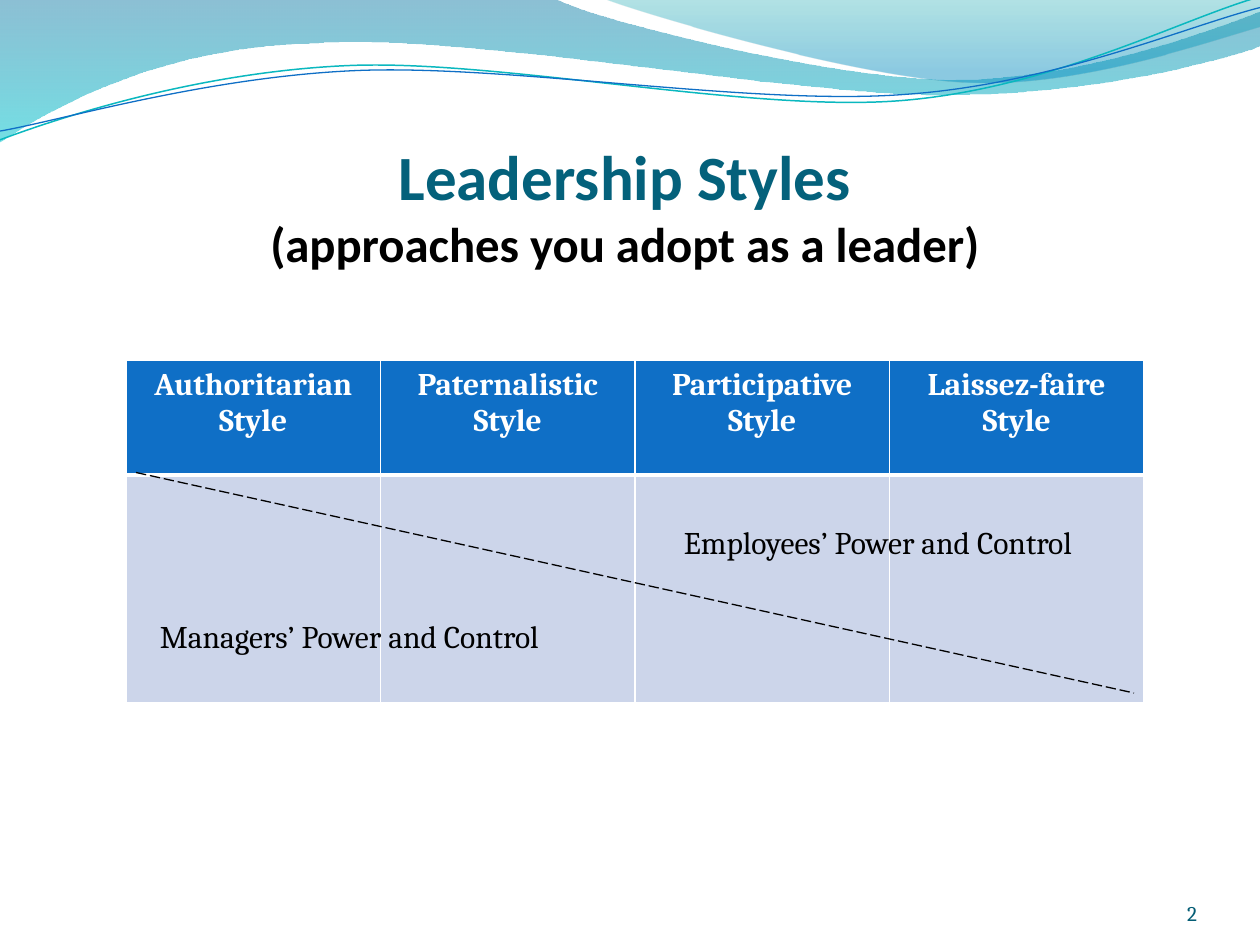
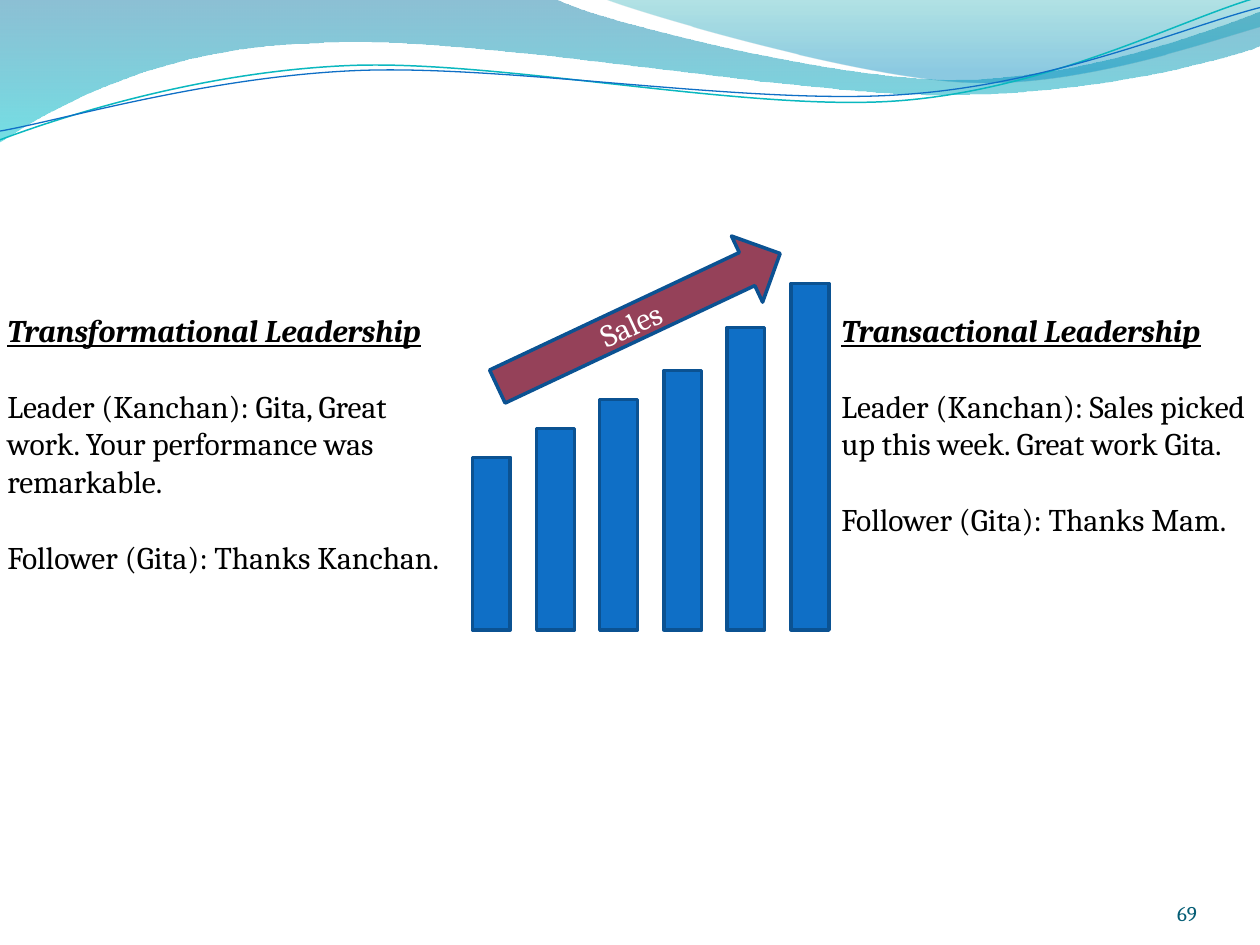
from math import cos, radians, sin

from pptx import Presentation
from pptx.dml.color import RGBColor
from pptx.enum.dml import MSO_LINE
from pptx.enum.shapes import MSO_CONNECTOR, MSO_SHAPE
from pptx.enum.text import MSO_ANCHOR, PP_ALIGN
from pptx.oxml.ns import qn
from pptx.oxml.xmlchemy import OxmlElement
from pptx.util import Pt

EMU_PER_PX = 9144
BODY_FONT = "Cambria"
TITLE_FONT = "Calibri"
COLORS = {
    "black": "000000",
    "white": "FFFFFF",
    "title": "04617B",
    "number": "045D75",
    "blue": "0F6FC6",
    "navy": "0B5292",
    "teal": "0AB8BF",
    "plum": "954159",
    "cell": "CCD5EA",
    "wave_top": "0074A1",
    "wave_bottom": "00C6CF",
    "crest_top": "00A1A9",
    "crest_bottom": "008BBF",
}
WAVE = [(0, 0), (440, -1), (476, 17, 664, 63, 758, 63), (853, 63, 958, 26, 1000, 9),
        (1001, 36), (983, 44, 870, 76, 746, 75), (622, 75, 382, 28, 257, 34),
        (129, 36, 46, 83, -1, 113), (0, 0)]
CREST = [(479, -1), (509, 11, 682, 62, 769, 65), (856, 69, 961, 32, 1000, 21),
         (1000, 0), (479, -1)]
TEAL_LINE = [(0, 111), (48, 93, 158, 57, 277, 52), (395, 47, 593, 89, 713, 80),
             (833, 71, 938, 15, 998, -2)]
BLUE_LINE = [(0, 104), (47, 96, 164, 61, 283, 56), (403, 51, 597, 84, 717, 75),
             (836, 67, 941, 21, 1000, 6)]
LINE_TILT = 357.3


def px(length):
    return round(length * EMU_PER_PX)


def color(name):
    return RGBColor.from_string(COLORS[name])


def set_line(shape, name, width):
    shape.line.color.rgb = color(name)
    shape.line.width = Pt(width)


def add_span(para, text, size, name, font=BODY_FONT, bold=False, italic=False, underline=False):
    span = para.add_run()
    span.text = text
    span.font.name = font
    span.font.size = Pt(size)
    span.font.color.rgb = color(name)
    span.font.bold = bold
    span.font.italic = italic
    span.font.underline = underline


def add_box(page, left, top, width, height, anchor=MSO_ANCHOR.TOP, insets=None):
    box = page.shapes.add_textbox(px(left), px(top), px(width), px(height))
    frame = box.text_frame
    frame.word_wrap = True
    frame.vertical_anchor = anchor
    if insets:
        frame.margin_left, frame.margin_top, frame.margin_right, frame.margin_bottom = map(px, insets)
    return frame


def turn_back(point, center, angle):
    across, down = point[0] - center[0], point[1] - center[1]
    turn = radians(-angle)
    return (center[0] + across * cos(turn) - down * sin(turn),
            center[1] + across * sin(turn) + down * cos(turn))


def merge_into_curve(segments):
    curve = OxmlElement("a:cubicBezTo")
    segments[0].addprevious(curve)
    for segment in segments:
        curve.append(segment[0])
        segment.getparent().remove(segment)


def add_outline(shapes, steps, close, center=(0, 0), angle=0):
    points = [step[index:index + 2] for step in steps for index in range(0, len(step), 2)]
    corners = [tuple(map(px, turn_back(point, center, angle))) for point in points]
    builder = shapes.build_freeform(*corners[0], scale=1.0)
    builder.add_line_segments(corners[1:], close=close)
    shape = builder.convert_to_shape()
    segments = list(shape._element.spPr.iter(qn("a:lnTo")))
    for step in steps[1:]:
        count = len(step) // 2
        if count == 3:
            merge_into_curve(segments[:count])
        segments = segments[count:]
    shape.rotation = angle
    shape.shadow.inherit = False
    return shape


def add_band(page, steps, stops):
    band = add_outline(page.shapes, steps, True)
    band.line.fill.background()
    band.fill.gradient()
    band.fill.gradient_angle = 270
    for stop, (position, name, opacity) in zip(band.fill.gradient_stops, stops):
        stop.position = position
        stop.color.rgb = color(name)
    for element, (position, name, opacity) in zip(band._element.spPr.iter(qn("a:srgbClr")), stops):
        alpha = OxmlElement("a:alpha")
        alpha.set("val", str(opacity * 1000))
        element.append(alpha)


def add_curve(group, steps, center, name, width):
    curve = add_outline(group.shapes, steps, False, center, LINE_TILT)
    curve.fill.background()
    set_line(curve, name, width)


def add_page(deck, number):
    page = deck.slides.add_slide(deck.slide_layouts[6])
    add_band(page, WAVE, [(0, "wave_top", 45), (1, "wave_bottom", 55)])
    add_band(page, CREST, [(0, "crest_top", 30), (0.8, "crest_bottom", 45)])
    lines = page.shapes.add_group_shape()
    add_curve(lines, TEAL_LINE, (499, 57.5), "teal", 0.85)
    add_curve(lines, BLUE_LINE, (499.5, 59), "blue", 0.75)
    para = add_box(page, 867, 695, 83, 40, MSO_ANCHOR.BOTTOM, (0, 0, 0, 0)).paragraphs[0]
    para.alignment = PP_ALIGN.RIGHT
    add_span(para, number, 12, "number")
    return page


def add_title(page, heading, subheading):
    para = add_box(page, 67, 158, 858, 58, MSO_ANCHOR.BOTTOM, (0, 5, 0, 0)).paragraphs[0]
    para.alignment = PP_ALIGN.CENTER
    add_span(para, heading, 36, "title", TITLE_FONT, bold=True)
    para.add_line_break()
    add_span(para, subheading, 27.9, "black", TITLE_FONT, bold=True)


def set_borders(cell, top, bottom):
    properties = cell._tc.get_or_add_tcPr()
    for side, width in (("L", 1), ("R", 1), ("T", top), ("B", bottom)):
        border = OxmlElement(f"a:ln{side}")
        border.set("w", str(Pt(width)))
        solid = OxmlElement("a:solidFill")
        value = OxmlElement("a:srgbClr")
        value.set("val", COLORS["white"])
        solid.append(value)
        border.append(solid)
        properties.append(border)


def fill_cell(cell, name, top, bottom):
    set_borders(cell, top, bottom)
    cell.fill.solid()
    cell.fill.fore_color.rgb = color(name)


def add_style_table(page, styles):
    table = page.shapes.add_table(2, len(styles), px(100), px(286), px(808), px(272)).table
    table.horz_banding = False
    table.rows[0].height = px(91)
    table.rows[1].height = px(181)
    for column, style in enumerate(styles):
        header = table.cell(0, column)
        fill_cell(header, "blue", 1, 3)
        para = header.text_frame.paragraphs[0]
        para.alignment = PP_ALIGN.CENTER
        add_span(para, style, 18, "white", bold=True)
        fill_cell(table.cell(1, column), "cell", 3, 1)


def add_divider(page, start, end):
    divider = page.shapes.add_connector(MSO_CONNECTOR.STRAIGHT, *map(px, start + end))
    set_line(divider, "black", 0.75)
    divider.line.dash_style = MSO_LINE.LONG_DASH
    divider._element.spPr.append(OxmlElement("a:effectLst"))


def add_label(page, left, top, width, text):
    para = add_box(page, left, top, width, 40).paragraphs[0]
    add_span(para, text, 18, "black")


def add_solid(group, kind, left, top, width, height, name):
    shape = group.shapes.add_shape(kind, px(left), px(top), px(width), px(height))
    shape.shadow.inherit = False
    shape.fill.solid()
    shape.fill.fore_color.rgb = color(name)
    set_line(shape, "navy", 2)
    return shape


def add_sales_growth(page):
    baseline = 500
    growth = page.shapes.add_group_shape()
    for index, height in enumerate((137, 160, 183, 206, 240, 275)):
        left = 375 + round(index * 50.6)
        add_solid(growth, MSO_SHAPE.RECTANGLE, left, baseline - height, 30, height, "blue")
    arrow = add_solid(growth, MSO_SHAPE.RIGHT_ARROW, 383, 225, 248, 58, "plum")
    arrow.rotation = 334.8
    arrow.text_frame.vertical_anchor = MSO_ANCHOR.MIDDLE
    para = arrow.text_frame.paragraphs[0]
    para.alignment = PP_ALIGN.CENTER
    add_span(para, "Sales", 18, "white")


def add_dialogue(page, left, width, heading, lines):
    frame = add_box(page, left, 242, width, 222)
    add_span(frame.paragraphs[0], heading, 18, "black", bold=True, italic=True, underline=True)
    for line in lines:
        para = frame.add_paragraph()
        para.space_before = Pt(21.5)
        add_span(para, line, 18, "black")


def build_styles_page(deck):
    page = add_page(deck, "2")
    add_title(page, "Leadership Styles", "(approaches you adopt as a leader)")
    add_style_table(page, ["Authoritarian Style", "Paternalistic Style",
                           "Participative Style", "Laissez-faire Style"])
    add_divider(page, (108, 375), (900, 550))
    add_label(page, 117, 485, 392, "Managers’ Power and Control")
    add_label(page, 533, 410, 358, "Employees’ Power and Control")


def build_comparison_page(deck):
    page = add_page(deck, "69")
    add_sales_growth(page)
    add_dialogue(page, -4, 383, "Transformational Leadership", [
        "Leader (Kanchan): Gita, Great work. Your performance was remarkable.",
        "Follower (Gita): Thanks Kanchan.",
    ])
    add_dialogue(page, 658, 350, "Transactional Leadership", [
        "Leader (Kanchan): Sales picked up this week. Great work Gita.",
        "Follower (Gita): Thanks Mam.",
    ])


def main():
    deck = Presentation()
    deck.slide_width = px(1000)
    deck.slide_height = px(750)
    build_styles_page(deck)
    build_comparison_page(deck)
    deck.save("out.pptx")


if __name__ == "__main__":
    main()
